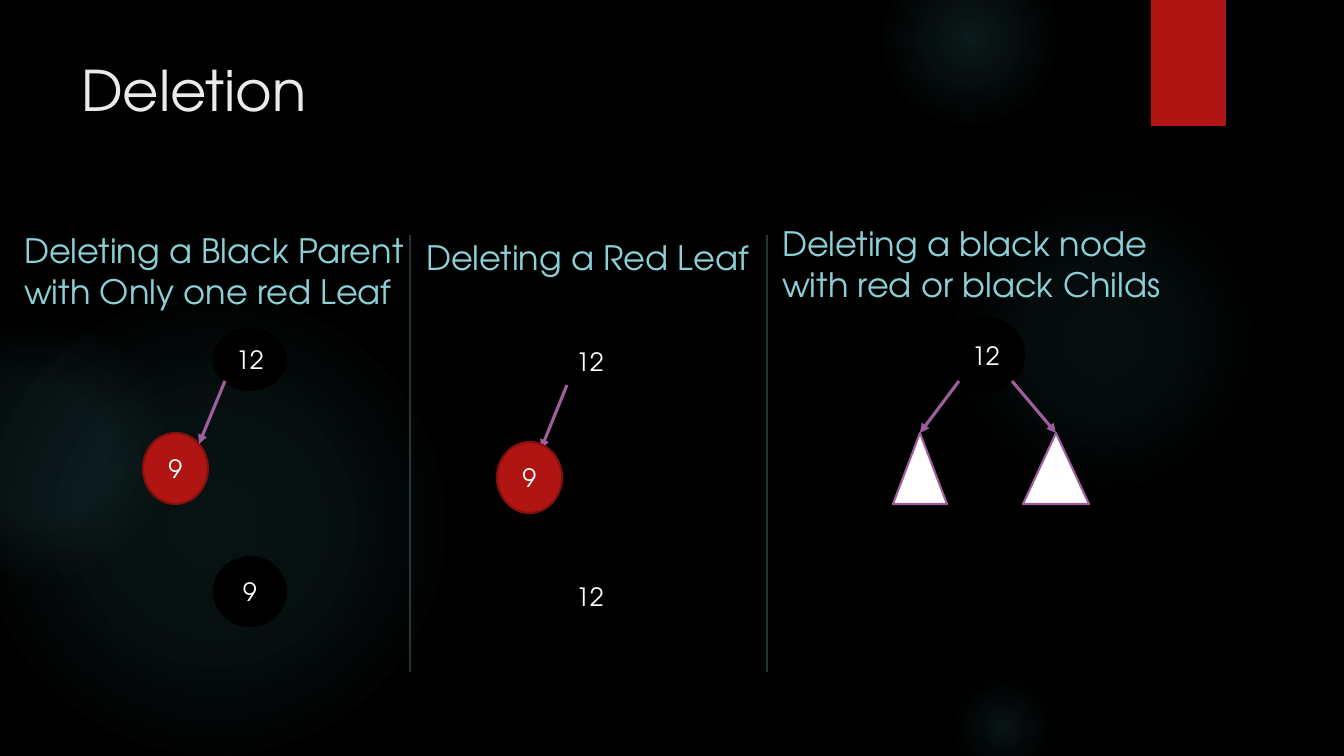
"""Build the Deletion slide: three red-black tree deletion cases side by side."""
from lxml import etree
from pptx import Presentation
from pptx.dml.color import RGBColor
from pptx.enum.shapes import MSO_CONNECTOR, MSO_SHAPE
from pptx.enum.text import MSO_ANCHOR, MSO_AUTO_SIZE, PP_ALIGN
from pptx.oxml import parse_xml
from pptx.oxml.ns import nsdecls, qn
from pptx.util import Pt

OVAL, RECTANGLE, TRIANGLE = MSO_SHAPE.OVAL, MSO_SHAPE.RECTANGLE, MSO_SHAPE.ISOSCELES_TRIANGLE
STRAIGHT = MSO_CONNECTOR.STRAIGHT
TOP, MIDDLE, BOTTOM = MSO_ANCHOR.TOP, MSO_ANCHOR.MIDDLE, MSO_ANCHOR.BOTTOM
LEFT, CENTER = PP_ALIGN.LEFT, PP_ALIGN.CENTER
NO_FIT = MSO_AUTO_SIZE.NONE

BLACK = RGBColor(0x00, 0x00, 0x00)
WHITE = RGBColor(0xFF, 0xFF, 0xFF)
RED = RGBColor(0xB0, 0x15, 0x13)
DARK_RED = RGBColor(0x82, 0x10, 0x0E)
PURPLE = RGBColor(0x9E, 0x5E, 0x9B)
TEAL = RGBColor(0x50, 0xB9, 0xC1)
PALE_TEAL = RGBColor(0x8A, 0xD0, 0xD6)
OFF_WHITE = RGBColor(0xEB, 0xEB, 0xEB)
FONT = "TeX Gyre Adventor"
EMU_PER_PIXEL = 914400 / 100.8


def emu(*pixels):
    """Turn pixel lengths into EMU."""
    return [round(pixel * EMU_PER_PIXEL) for pixel in pixels]


class TreeSlide:
    """Holds the style and the current page."""

    def __init__(self, page):
        """Start on a black page."""
        self.page = page
        page.background.fill.solid()
        page.background.fill.fore_color.rgb = BLACK

    def label(self, shape, text, size, color, align, anchor):
        """Put one styled paragraph into a shape."""
        frame = shape.text_frame
        frame.text = text
        frame.word_wrap = True
        frame.auto_size = NO_FIT
        frame.vertical_anchor = anchor
        para = frame.paragraphs[0]
        para.alignment = align
        para.font.name, para.font.size, para.font.bold = FONT, Pt(size), False
        para.font.color.rgb = color
        return para

    def placeholder(self, index, area, text, size, color, anchor):
        """Move a placeholder to the front and fill it without a bullet."""
        box = self.page.placeholders[index]
        box.left, box.top, box.width, box.height = emu(*area)
        box.element.getparent().append(box.element)
        para = self.label(box, text, size, color, LEFT, anchor)
        para.space_after = Pt(6)
        properties = para._p.get_or_add_pPr()
        properties.set("marL", "0")
        properties.set("indent", "0")
        bullet = etree.Element(qn("a:buNone"))
        properties.find(qn("a:spcAft")).addnext(bullet)

    def shape(self, kind, area, fill=None, outline=None):
        """Add a flat preset shape."""
        shape = self.page.shapes.add_shape(kind, *emu(*area))
        shape.shadow.inherit = False
        if fill is not None:
            shape.fill.solid()
            shape.fill.fore_color.rgb = fill
        if outline is None:
            shape.line.fill.background()
        else:
            shape.line.color.rgb = outline
            shape.line.width = Pt(1.5)
        return shape

    def glow(self, area, stops):
        """Add a soft round light that fades outwards."""
        properties = self.shape(OVAL, area).element.spPr
        marks = "".join(
            f'<a:gs pos="{place * 1000}"><a:srgbClr val="{TEAL}">'
            f'<a:alpha val="{alpha * 1000}"/></a:srgbClr></a:gs>'
            for place, alpha in stops)
        gradient = parse_xml(
            f'<a:gradFill {nsdecls("a")}><a:gsLst>{marks}</a:gsLst><a:path path="circle">'
            '<a:fillToRect l="50000" t="50000" r="50000" b="50000"/></a:path></a:gradFill>')
        properties.find(qn("a:prstGeom")).addnext(gradient)

    def node(self, area, text, fill=BLACK, outline=BLACK):
        """Add a labelled tree node."""
        shape = self.shape(OVAL, area, fill, outline)
        frame = shape.text_frame
        frame.margin_left = frame.margin_right = frame.margin_top = frame.margin_bottom = 0
        self.label(shape, text, 18, WHITE, CENTER, MIDDLE)

    def line(self, ends, color, width):
        """Add a straight line without a shadow."""
        line = self.page.shapes.add_connector(STRAIGHT, *emu(*ends))
        line.line.color.rgb = color
        line.line.width = Pt(width)
        etree.SubElement(line.element.spPr, qn("a:effectLst"))
        return line

    def divider(self, x):
        """Add a translucent column divider."""
        line = self.line((x, 235, x, 672), PALE_TEAL, 1)
        color = line.element.spPr.find(f'.//{qn("a:srgbClr")}')
        etree.SubElement(color, qn("a:alpha"), val="40000")

    def arrow(self, *ends):
        """Add an arrow from parent to child."""
        line = self.line(ends, PURPLE, 2.25)
        outline = line.element.spPr.find(qn("a:ln"))
        etree.SubElement(outline, qn("a:tailEnd"), type="triangle")


deck = Presentation()
deck.slide_width, deck.slide_height = emu(1344, 756)
slide = TreeSlide(deck.slides.add_slide(deck.slide_layouts[4]))

GLOWS = [
    ((-17, 294, 462, 462), [(0, 10), (36, 8), (75, 0)]),
    ((-93, 320, 260, 260), [(0, 8), (36, 8), (72, 0)]),
    ((949, 184, 310, 310), [(0, 7), (36, 6), (69, 0)]),
    ((882, -50, 176, 176), [(0, 14), (36, 7), (73, 0)]),
    ((949, 672, 109, 109), [(0, 11), (30, 5), (67, 0)]),
]
for area, stops in GLOWS:
    slide.glow(area, stops)
slide.shape(RECTANGLE, (1151, 0, 75, 126), RED)
for x in (410, 767):
    slide.divider(x)

slide.placeholder(0, (71, 50, 1037, 154), "Deletion", 40, OFF_WHITE, TOP)
HEADINGS = [
    (1, (14, 253, 444, 63), "Deleting a Black Parent with Only one red Leaf"),
    (2, (416, 219, 347, 63), "Deleting a Red Leaf"),
    (3, (772, 246, 410, 63), "Deleting a black node with red or black Childs"),
]
for index, area, heading in HEADINGS:
    slide.placeholder(index, area, heading, 24, PALE_TEAL, BOTTOM)
unused = slide.page.placeholders[4].element
unused.getparent().remove(unused)

slide.node((214, 329, 72, 61), "12")
slide.node((143, 433, 65, 71), "9", RED, DARK_RED)
slide.arrow(225, 381, 199, 444)
slide.node((214, 557, 72, 69), "9")

slide.node((554, 331, 72, 61), "12")
slide.arrow(567, 385, 541, 449)
slide.node((497, 442, 65, 71), "9", RED, DARK_RED)
slide.node((554, 566, 72, 61), "12")

slide.node((948, 318, 76, 74), "12")
for parent_x, left, width in ((959, 893, 54), (1012, 1023, 66)):
    slide.shape(TRIANGLE, (left, 433, width, 71), WHITE, PURPLE)
    slide.arrow(parent_x, 381, left + width // 2, 433)

deck.save("out.pptx")
